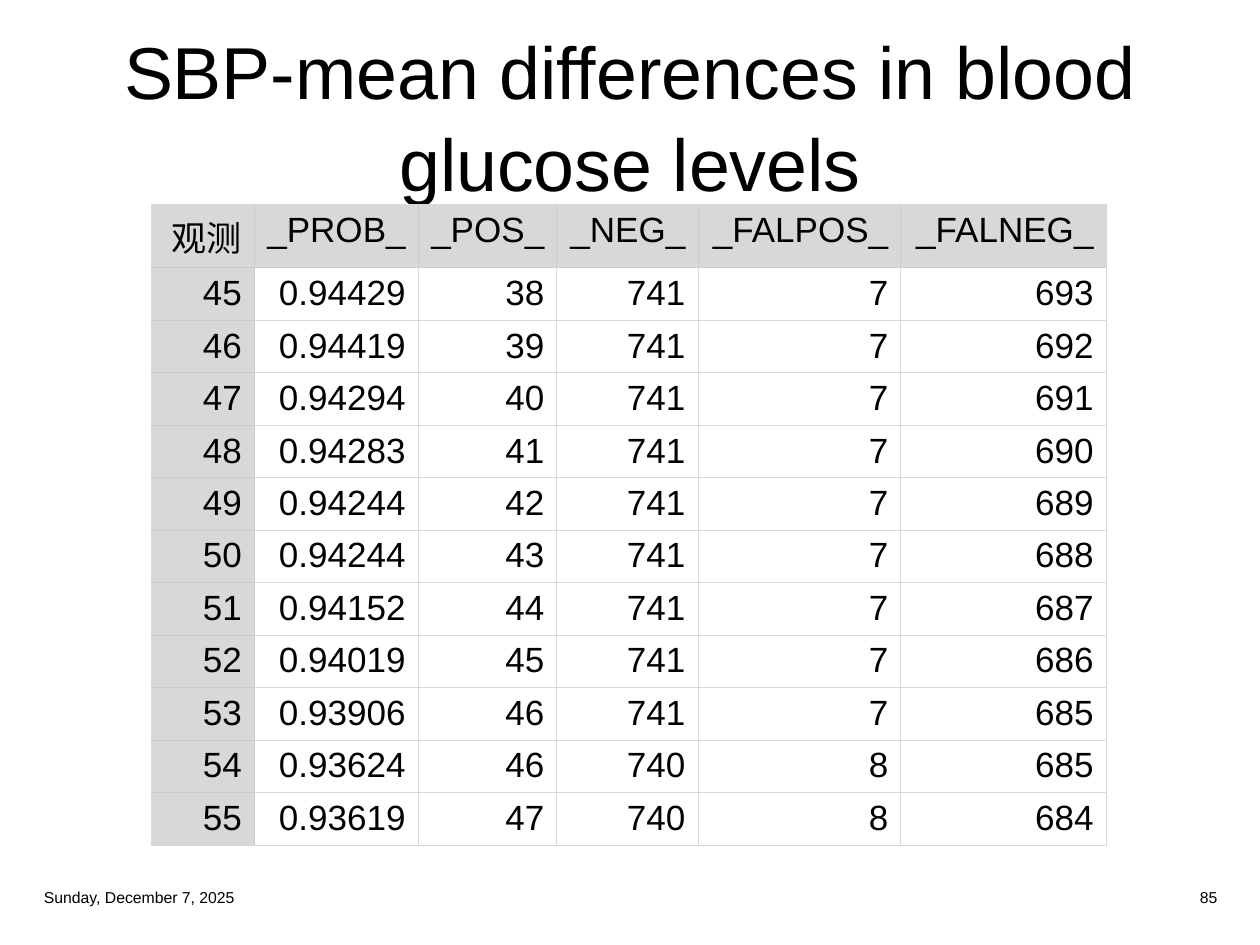
from dataclasses import dataclass

from lxml.etree import SubElement
from pptx import Presentation
from pptx.dml.color import RGBColor
from pptx.enum.text import MSO_ANCHOR, MSO_AUTO_SIZE, PP_ALIGN
from pptx.oxml.ns import qn
from pptx.util import Inches, Pt

COLORS = {"text": "000000", "shade": "D8D8D8", "rim": "D8D8D8", "inner": "CCCCCC"}
FONT = "Arial"
HEADERS = ["观测", "_PROB_", "_POS_", "_NEG_", "_FALPOS_", "_FALNEG_"]
OBSERVATIONS = [
    ("45", "0.94429", "38", "741", "7", "693"),
    ("46", "0.94419", "39", "741", "7", "692"),
    ("47", "0.94294", "40", "741", "7", "691"),
    ("48", "0.94283", "41", "741", "7", "690"),
    ("49", "0.94244", "42", "741", "7", "689"),
    ("50", "0.94244", "43", "741", "7", "688"),
    ("51", "0.94152", "44", "741", "7", "687"),
    ("52", "0.94019", "45", "741", "7", "686"),
    ("53", "0.93906", "46", "741", "7", "685"),
    ("54", "0.93624", "46", "740", "8", "685"),
    ("55", "0.93619", "47", "740", "8", "684"),
]
COLUMN_WIDTHS = [0.82, 1.3, 1.1, 1.12, 1.61, 1.63]
TABLE_HEIGHT = 5


@dataclass(frozen=True)
class FooterItem:
    text: str
    left: float
    align: PP_ALIGN


FOOTER = [
    FooterItem("Sunday, December 7, 2025", 0.25, PP_ALIGN.LEFT),
    FooterItem("85", 7.38, PP_ALIGN.RIGHT),
]


def format_paragraph(paragraph, size: float, align: PP_ALIGN) -> None:
    paragraph.alignment = align
    for run in paragraph.runs:
        for attribute, value in {"name": FONT, "size": Pt(size)}.items():
            setattr(run.font, attribute, value)
        run.font.color.rgb = RGBColor.from_string(COLORS["text"])


def add_title(slide) -> None:
    title = slide.shapes.title
    box = {"left": 0.25, "top": 0.25, "width": 9.5, "height": 1.31}
    for attribute, value in box.items():
        setattr(title, attribute, Inches(value))
    frame = title.text_frame
    frame.auto_size = MSO_AUTO_SIZE.NONE
    frame.word_wrap = True
    frame.vertical_anchor = MSO_ANCHOR.MIDDLE
    paragraph = frame.paragraphs[0]
    paragraph.add_run().text = "SBP-mean differences in blood"
    paragraph.add_line_break()
    paragraph.add_run().text = "glucose levels"
    paragraph.line_spacing = 1.04
    format_paragraph(paragraph, 42, PP_ALIGN.CENTER)


def set_borders(cell, edge_colors: dict[str, str]) -> None:
    properties = cell._tc.get_or_add_tcPr()
    for position, (edge, color) in enumerate(edge_colors.items()):
        line = SubElement(properties, qn(f"a:{edge}"), w=str(Pt(0.5)))
        fill = SubElement(line, qn("a:solidFill"))
        SubElement(fill, qn("a:srgbClr"), val=color)
        properties.insert(position, line)


def border_colors(row: int, column: int) -> dict[str, str]:
    """Edges inside the table that touch a shaded cell are darker than the rest."""
    last_row, last_column = len(OBSERVATIONS), len(HEADERS) - 1
    shaded = row == 0 or column == 0
    darker = {
        "lnL": column > 0 and (shaded or column == 1),
        "lnR": column < last_column and shaded,
        "lnT": row > 0 and (shaded or row == 1),
        "lnB": row < last_row and shaded,
    }
    return {edge: COLORS["inner" if dark else "rim"] for edge, dark in darker.items()}


def add_observation_table(slide) -> None:
    rows = [HEADERS, *OBSERVATIONS]
    table = slide.shapes.add_table(
        len(rows), len(HEADERS), Inches(1.2), Inches(1.62),
        Inches(sum(COLUMN_WIDTHS)), Inches(TABLE_HEIGHT),
    ).table
    table.first_row = table.horz_banding = False
    for column, width in zip(table.columns, COLUMN_WIDTHS):
        column.width = Inches(width)
    for row_index, values in enumerate(rows):
        table.rows[row_index].height = Inches(TABLE_HEIGHT / len(rows))
        for column_index, value in enumerate(values):
            cell = table.cell(row_index, column_index)
            cell.text = value
            format_paragraph(cell.text_frame.paragraphs[0], 20, PP_ALIGN.RIGHT)
            if row_index == 0 or column_index == 0:
                cell.fill.solid()
                cell.fill.fore_color.rgb = RGBColor.from_string(COLORS["shade"])
            else:
                cell.fill.background()
            set_borders(cell, border_colors(row_index, column_index))


def add_footer_item(slide, item: FooterItem) -> None:
    frame = slide.shapes.add_textbox(
        Inches(item.left), Inches(6.99), Inches(2.38), Inches(0.26)
    ).text_frame
    frame.word_wrap = True
    frame.vertical_anchor = MSO_ANCHOR.MIDDLE
    frame.text = item.text
    format_paragraph(frame.paragraphs[0], 9, item.align)


def main() -> None:
    presentation = Presentation()
    presentation.slide_width, presentation.slide_height = Inches(10), Inches(7.5)
    title_only = presentation.slide_layouts[5]
    slide = presentation.slides.add_slide(title_only)
    add_title(slide)
    add_observation_table(slide)
    for item in FOOTER:
        add_footer_item(slide, item)
    presentation.save("out.pptx")


if __name__ == "__main__":
    main()
